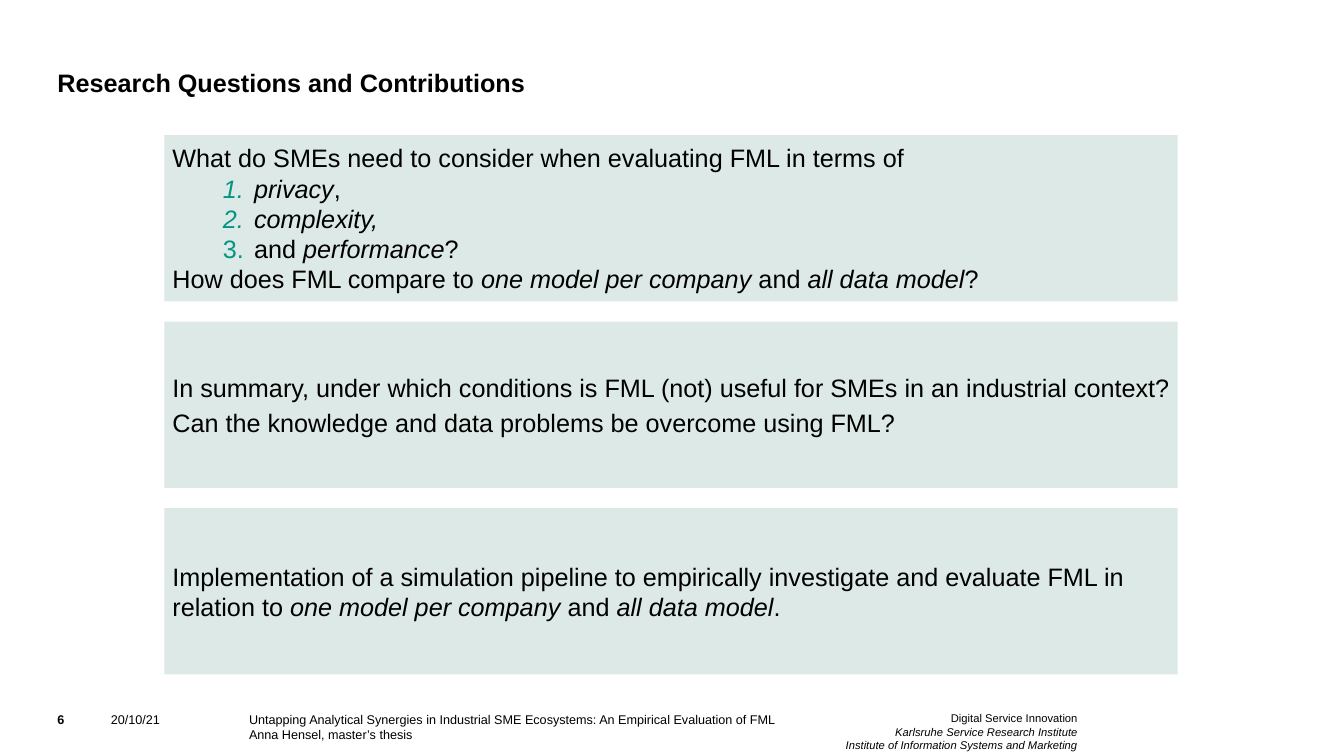
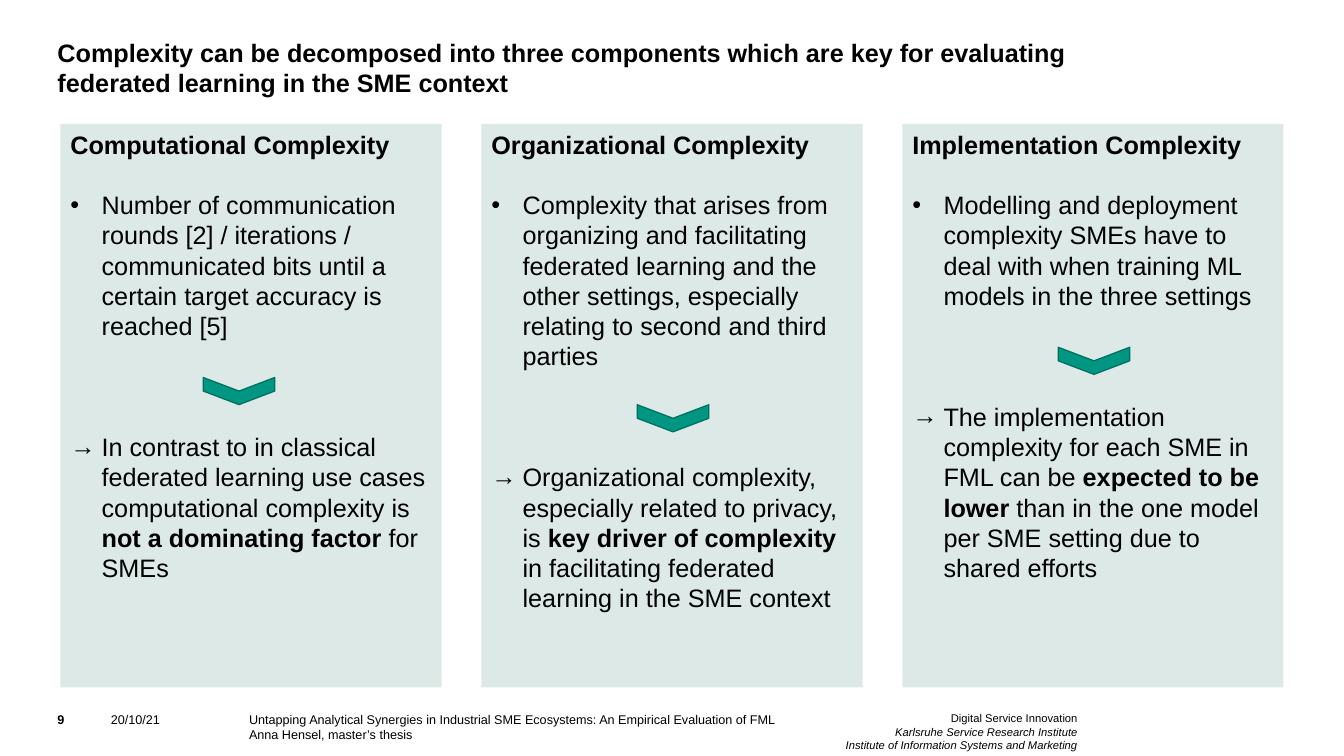
from dataclasses import dataclass

from lxml.etree import SubElement
from pptx import Presentation
from pptx.dml.color import RGBColor
from pptx.enum.shapes import MSO_SHAPE
from pptx.enum.text import MSO_ANCHOR, MSO_AUTO_SIZE, PP_ALIGN
from pptx.oxml.ns import qn
from pptx.util import Inches, Pt


@dataclass(frozen=True)
class Theme:
    font: str = "Arial"
    ink: RGBColor = RGBColor(0x00, 0x00, 0x00)
    panel: RGBColor = RGBColor(0xDD, 0xE9, 0xE6)
    accent: RGBColor = RGBColor(0x00, 0x96, 0x82)
    accent_edge: RGBColor = RGBColor(0x00, 0x6F, 0x60)
    body: int = 18
    footer: int = 9
    affiliation: int = 8
    line: float = 21.6  # height of one body line in points


THEME = Theme()

# Grid, in inches
SLIDE_W, SLIDE_H = 13.33, 7.5
FOOTER_TOP = 7.06
ROW_LEFT, ROW_TOP, ROW_W, ROW_H, ROW_GAP = 1.63, 1.34, 10.05, 1.65, 0.2
COL_LEFT, COL_RIGHT, COL_TOP, COL_W, COL_H = 0.6, 12.73, 1.23, 3.78, 5.59
COL_GAP = (COL_RIGHT - COL_LEFT - 3 * COL_W) / 2
CHEVRON_W, CHEVRON_H = 0.27, 0.71
HANG = 0.31  # hanging indent of list items

DATE = "20/10/21"
THESIS = ["Untapping Analytical Synergies in Industrial SME Ecosystems: "
          "An Empirical Evaluation of FML", "Anna Hensel, master’s thesis"]
AFFILIATION = ["Digital Service Innovation", "Karlsruhe Service Research Institute",
               "Institute of Information Systems and Marketing"]

# Stretches between asterisks are emphasised
QUESTION_INTRO = "What do SMEs need to consider when evaluating FML in terms of"
QUESTION_CRITERIA = ["*privacy*,", "*complexity,*", "and *performance*?"]
QUESTION_COMPARISON = ("How does FML compare to *one model per company* "
                       "and *all data model*?")
SUMMARY_QUESTIONS = [
    "In summary, under which conditions is FML (not) useful for SMEs in an industrial context?",
    "Can the knowledge and data problems be overcome using FML?"]
CONTRIBUTION = ("Implementation of a simulation pipeline to empirically investigate and "
                "evaluate FML in relation to *one model per company *and *all data model*.")

# Heading, description, conclusion, chevron centre (from column left, from slide top)
COMPONENTS = [
    ("Computational Complexity",
     "Number of communication rounds [2] / iterations / communicated bits until a "
     "certain target accuracy is reached [5]",
     "In contrast to in classical federated learning use cases computational "
     "complexity is *not a dominating factor *for SMEs",
     (1.77, 3.88)),
    ("Organizational Complexity",
     "Complexity that arises from organizing and facilitating federated learning and "
     "the other settings, especially relating to second and third parties",
     "Organizational complexity, especially related to privacy, is *key driver of "
     "complexity *in facilitating federated learning in the SME context",
     (1.9, 4.15)),
    ("Implementation Complexity",
     "Modelling and deployment complexity SMEs have to deal with when training ML "
     "models in the three settings",
     "The implementation complexity for each SME in FML can be *expected to be lower* "
     "than in the one model per SME setting due to shared efforts",
     (1.9, 3.58)),
]


def style(run, size=THEME.body, bold=False, italic=False):
    font = run.font
    font.name, font.size = THEME.font, Pt(size)
    font.bold, font.italic = bold, italic
    font.color.rgb = THEME.ink


def set_insets(frame, left=0, top=0, right=0, bottom=0):
    frame.margin_left, frame.margin_top = Inches(left), Inches(top)
    frame.margin_right, frame.margin_bottom = Inches(right), Inches(bottom)


def write(frame, text, emphasis="italic", before=0, **fixed):
    """Add a paragraph, or fill the first one, and emphasise *marked* words."""
    paragraph = frame.paragraphs[0]
    if paragraph.runs:
        paragraph = frame.add_paragraph()
    paragraph.alignment = PP_ALIGN.LEFT
    paragraph.space_before = Pt(before)
    for i, part in enumerate(text.split("*")):
        if part:
            run = paragraph.add_run()
            run.text = part
            style(run, **({emphasis: True} if i % 2 else {}), **fixed)
    return paragraph


def add_bullet(paragraph, indent, mark=None, color=THEME.ink):
    """Give a hanging bullet, or a number when there is no mark."""
    props = paragraph._p.get_or_add_pPr()
    props.set("marL", str(Inches(indent)))
    props.set("indent", str(-Inches(HANG)))
    SubElement(SubElement(props, qn("a:buClr")), qn("a:srgbClr")).set("val", str(color))
    SubElement(props, qn("a:buFont")).set("typeface", THEME.font)
    if mark:
        SubElement(props, qn("a:buChar")).set("char", mark)
    else:
        SubElement(props, qn("a:buAutoNum")).set("type", "arabicPeriod")


def add_panel(slide, left, top, width, height):
    panel = slide.shapes.add_shape(
        MSO_SHAPE.RECTANGLE, Inches(left), Inches(top), Inches(width), Inches(height))
    panel.shadow.inherit = False
    panel.fill.solid()
    panel.fill.fore_color.rgb = THEME.panel
    panel.line.fill.background()
    panel.text_frame.word_wrap = True
    return panel.text_frame


def add_row(slide, index):
    frame = add_panel(slide, ROW_LEFT, ROW_TOP + index * (ROW_H + ROW_GAP), ROW_W, ROW_H)
    frame.vertical_anchor = MSO_ANCHOR.MIDDLE
    set_insets(frame, left=0.08)
    return frame


def add_chevron(slide, center_x, center_y):
    chevron = slide.shapes.add_shape(
        MSO_SHAPE.CHEVRON, Inches(center_x - CHEVRON_W / 2),
        Inches(center_y - CHEVRON_H / 2), Inches(CHEVRON_W), Inches(CHEVRON_H))
    chevron.rotation = 90
    chevron.shadow.inherit = False
    chevron.fill.solid()
    chevron.fill.fore_color.rgb = THEME.accent
    chevron.line.color.rgb = THEME.accent_edge
    chevron.line.width = Pt(0.85)


def add_footer_text(slide, left, width, lines, align=PP_ALIGN.LEFT,
                    size=THEME.footer, bold=False, italic_from=None):
    box = slide.shapes.add_textbox(
        Inches(left), Inches(FOOTER_TOP), Inches(width), Inches(0.39))
    frame = box.text_frame
    frame.word_wrap = True
    set_insets(frame)
    frame.text = "\n".join(lines)
    for i, paragraph in enumerate(frame.paragraphs):
        paragraph.alignment = align
        for run in paragraph.runs:
            style(run, size, bold, italic_from is not None and i >= italic_from)


def add_titled_slide(deck, title, number):
    """Start a slide with the shared title style and footer."""
    slide = deck.slides.add_slide(deck.slide_layouts.get_by_name("Title Only"))
    heading = slide.shapes.title
    heading.left, heading.top = Inches(0.57), Inches(0.36)
    heading.width, heading.height = Inches(10.08), Inches(0.61)
    frame = heading.text_frame
    frame.auto_size = MSO_AUTO_SIZE.NONE
    frame.vertical_anchor = MSO_ANCHOR.BOTTOM
    set_insets(frame)
    write(frame, title, bold=True)

    add_footer_text(slide, 0.37, 0.47, [number], PP_ALIGN.CENTER, bold=True)
    add_footer_text(slide, 1.1, 1.26, [DATE])
    add_footer_text(slide, 2.47, 5.84, THESIS)
    add_footer_text(slide, 8.31, 2.38, AFFILIATION, PP_ALIGN.RIGHT,
                    THEME.affiliation, italic_from=1)
    return slide


def add_questions_slide(deck):
    slide = add_titled_slide(deck, "Research Questions and Contributions", "6")

    # Evaluation criteria
    criteria = add_row(slide, 0)
    write(criteria, QUESTION_INTRO)
    for criterion in QUESTION_CRITERIA:
        item = write(criteria, criterion)
        item.level = 1
        add_bullet(item, 0.81, color=THEME.accent)
    write(criteria, QUESTION_COMPARISON)

    # Summary questions
    summary = add_row(slide, 1)
    for i, question in enumerate(SUMMARY_QUESTIONS):
        write(summary, question, before=3.6 if i else 0)

    # Contribution
    write(add_row(slide, 2), CONTRIBUTION)


def add_complexity_slide(deck):
    slide = add_titled_slide(
        deck, "Complexity can be decomposed into three components which are key for "
              "evaluating federated learning in the SME context", "9")

    # One column per component
    for i, (heading, description, conclusion, (dx, y)) in enumerate(COMPONENTS):
        left = COL_LEFT + i * (COL_W + COL_GAP)
        column = add_panel(slide, left, COL_TOP, COL_W, COL_H)
        column.vertical_anchor = MSO_ANCHOR.TOP
        set_insets(column, 0.1, 0.05, 0.1, 0.05)
        write(column, heading, bold=True)
        add_bullet(write(column, description, before=THEME.line), HANG, "•")
        add_bullet(write(column, conclusion, "bold", before=3 * THEME.line), HANG, "→")
        add_chevron(slide, left + dx, y)


def main():
    deck = Presentation()
    deck.slide_width, deck.slide_height = Inches(SLIDE_W), Inches(SLIDE_H)
    add_questions_slide(deck)
    add_complexity_slide(deck)
    deck.save("out.pptx")


if __name__ == "__main__":
    main()
